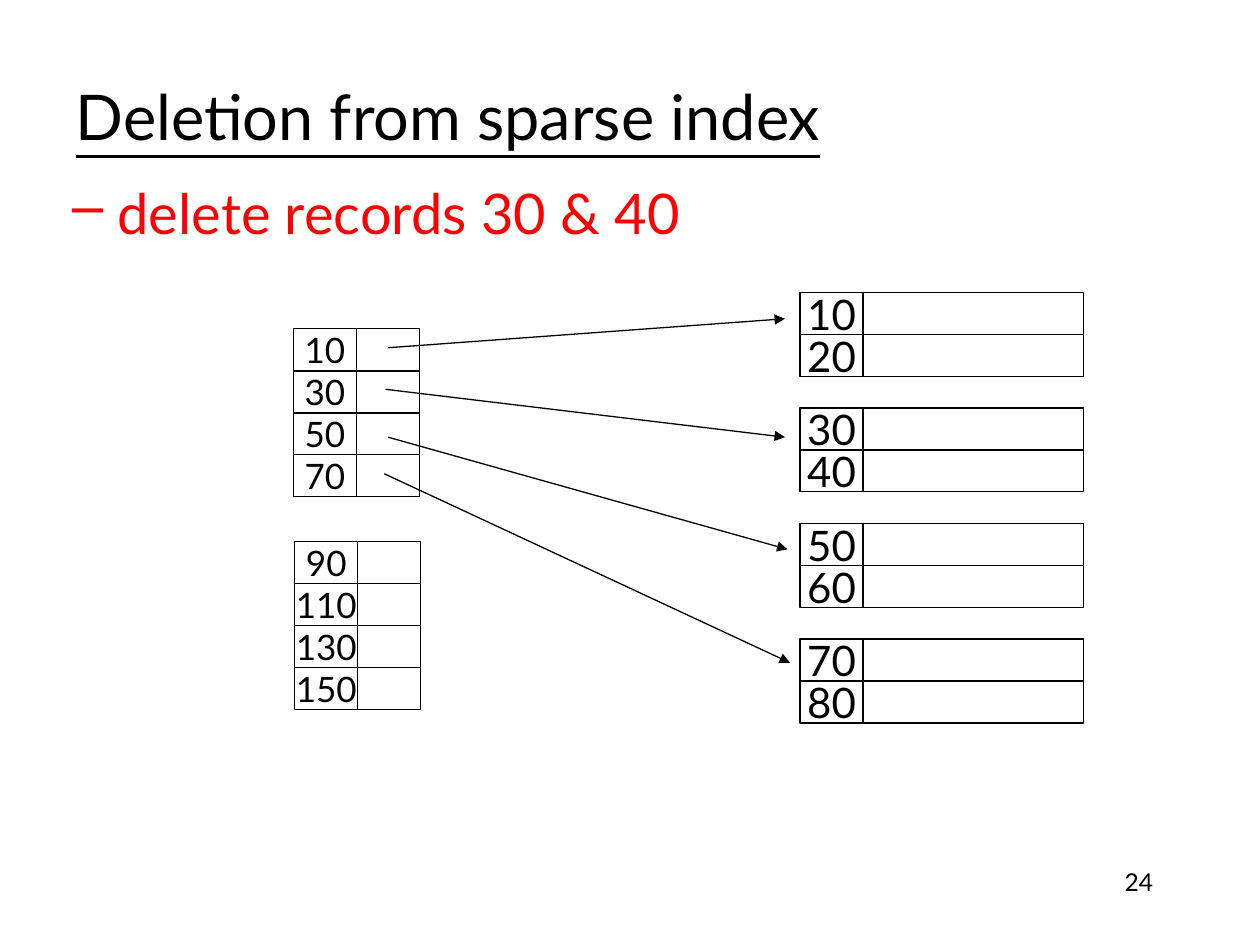
from lxml import etree
from pptx import Presentation
from pptx.dml.color import RGBColor
from pptx.enum.shapes import MSO_CONNECTOR, MSO_SHAPE
from pptx.enum.text import MSO_ANCHOR, MSO_AUTO_SIZE, PP_ALIGN
from pptx.oxml.ns import qn
from pptx.util import Inches, Pt

BLACK = RGBColor(0x00, 0x00, 0x00)
WHITE = RGBColor(0xFF, 0xFF, 0xFF)
RED = RGBColor(0xFF, 0x00, 0x00)
FONT = "Lato"
ROW_HEIGHT = 1 / 3
KEY_WIDTH = 0.5
LINE_WIDTH = Pt(0.75)

# Left, top and keys of each block of the sparse index
INDEX_BLOCKS = [
    (2.33, 2.61, [10, 30, 50, 70]),
    (2.34, 4.3, [90, 110, 130, 150]),
]
RECORD_BLOCKS = [[10, 20], [30, 40], [50, 60], [70, 80]]
RECORD_LEFT, RECORD_TOP, RECORD_PITCH = 6.35, 2.32, 0.917
POINTERS = [
    ((3.08, 2.76), (6.23, 2.53)),
    ((3.06, 3.09), (6.23, 3.47)),
    ((3.08, 3.47), (6.25, 4.36)),
    ((3.05, 3.76), (6.27, 5.26)),
]


def set_text(shape, text, size, align, color=BLACK, frame_format=None, **font_format):
    frame = shape.text_frame
    for name, value in (frame_format or {}).items():
        setattr(frame, name, value)
    paragraph = frame.paragraphs[0]
    paragraph.alignment = align
    run = paragraph.add_run()
    run.text = text
    run.font.color.rgb = color
    for name, value in {"name": FONT, "size": Pt(size), **font_format}.items():
        setattr(run.font, name, value)
    return paragraph


def add_title(slide, left, top, width, height):
    title = slide.shapes.title
    title.left, title.top = Inches(left), Inches(top)
    title.width, title.height = Inches(width), Inches(height)
    frame_format = {"vertical_anchor": MSO_ANCHOR.MIDDLE, "auto_size": MSO_AUTO_SIZE.NONE}
    set_text(title, "Deletion from sparse index", 36, PP_ALIGN.LEFT,
             frame_format=frame_format, underline=True)


def add_task(slide, left, top, width, height):
    """Add the red dashed line that states the deletion."""
    box = slide.shapes.add_textbox(Inches(left), Inches(top), Inches(width), Inches(height))
    paragraph = box.text_frame.paragraphs[0]
    paragraph.level = 1
    properties = paragraph._p.get_or_add_pPr()
    properties.set("marL", str(Inches(0.5)))
    properties.set("indent", "0")
    bullet_color = etree.SubElement(properties, qn("a:buClr"))
    etree.SubElement(bullet_color, qn("a:srgbClr"), val=str(RED))
    etree.SubElement(properties, qn("a:buChar"), char="–")
    frame_format = {"vertical_anchor": MSO_ANCHOR.MIDDLE, "word_wrap": False,
                    "auto_size": MSO_AUTO_SIZE.SHAPE_TO_FIT_TEXT}
    set_text(box, " delete records 30 & 40", 32, PP_ALIGN.CENTER, RED, frame_format)


def add_cell(shapes, left, top, width):
    cell = shapes.add_shape(MSO_SHAPE.RECTANGLE, Inches(left), Inches(top),
                            Inches(width), Inches(ROW_HEIGHT))
    cell.shadow.inherit = False
    cell.fill.solid()
    cell.fill.fore_color.rgb = WHITE
    cell.line.color.rgb = BLACK
    cell.line.width = LINE_WIDTH
    return cell


def add_block(slide, left, top, keys, value_width, size):
    """Add a group of rows, each a key cell and an empty cell beside it."""
    shapes = slide.shapes.add_group_shape().shapes
    frame_format = {"vertical_anchor": MSO_ANCHOR.MIDDLE, "word_wrap": False}
    for row, key in enumerate(keys):
        row_top = top + row * ROW_HEIGHT
        key_cell = add_cell(shapes, left, row_top, KEY_WIDTH)
        set_text(key_cell, str(key), size, PP_ALIGN.CENTER, frame_format=frame_format)
        add_cell(shapes, left + KEY_WIDTH, row_top, value_width)


def add_pointer(slide, start, end):
    points = [Inches(value) for value in (*start, *end)]
    pointer = slide.shapes.add_connector(MSO_CONNECTOR.STRAIGHT, *points)
    pointer.line.color.rgb = BLACK
    pointer.line.width = LINE_WIDTH
    etree.SubElement(pointer.line._get_or_add_ln(), qn("a:tailEnd"), type="triangle")
    etree.SubElement(pointer._element.spPr, qn("a:effectLst"))


def add_page_number(slide, left, top, width, height):
    box = slide.shapes.add_textbox(Inches(left), Inches(top), Inches(width), Inches(height))
    set_text(box, "24", 14, PP_ALIGN.RIGHT, frame_format={"word_wrap": True})


def main():
    presentation = Presentation()
    presentation.slide_width, presentation.slide_height = Inches(10), Inches(7.5)
    slide = presentation.slides.add_slide(presentation.slide_layouts[5])
    add_page_number(slide, 7.17, 6.83, 2.08, 0.5)
    add_title(slide, 0.5, 0.5, 8.5, 0.83)
    for position, keys in enumerate(RECORD_BLOCKS):
        top = RECORD_TOP + position * RECORD_PITCH
        add_block(slide, RECORD_LEFT, top, keys, value_width=1.75, size=24)
    for left, top, keys in INDEX_BLOCKS:
        add_block(slide, left, top, keys, value_width=0.5, size=20)
    for start, end in POINTERS:
        add_pointer(slide, start, end)
    add_task(slide, -0.13, 1.36, 5.73, 0.64)
    presentation.save("out.pptx")


if __name__ == "__main__":
    main()
